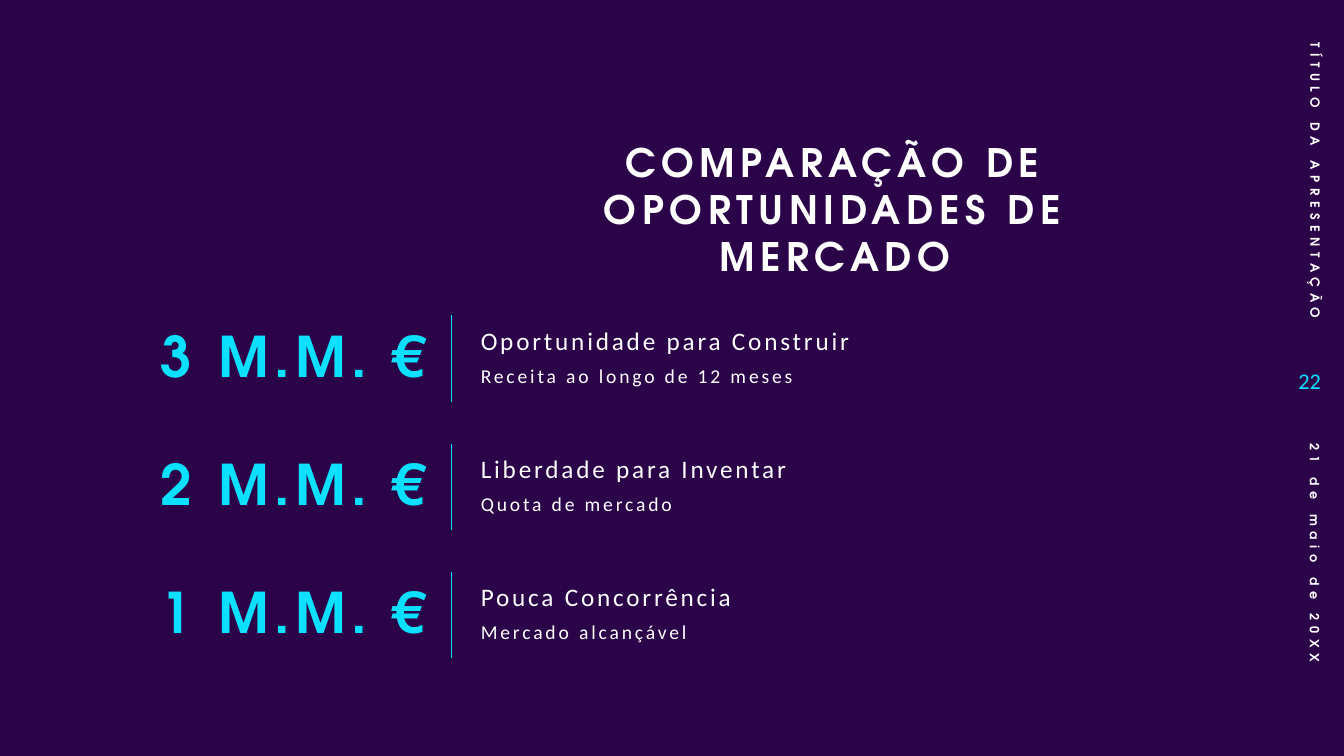
import pptx
import pptx.dml.color
import pptx.enum.shapes
import pptx.enum.text
import pptx.oxml
import pptx.util

Inches = pptx.util.Inches
Align = pptx.enum.text.PP_ALIGN
Anchor = pptx.enum.text.MSO_ANCHOR


def colour(value):
    return pptx.dml.color.RGBColor.from_string(value)


class MarketSlide:
    """Holds the style and the current slide, and adds each kind of element."""

    HEADING, BODY = "TeX Gyre Adventor", "Calibri"
    NIGHT, WHITE, CYAN = "2B0348", "FFFFFF", "0BE1FF"

    def __init__(self, deck):
        self.slide = deck.slides.add_slide(deck.slide_layouts[5])
        fill = self.slide.background.fill
        fill.solid()
        fill.fore_color.rgb = colour(self.NIGHT)

    def set_words(self, frame, words, size, font, ink, spacing=0, bold=False,
                  align=Align.LEFT, anchor=Anchor.TOP, leading=1.0):
        frame.word_wrap = True
        frame.auto_size = pptx.enum.text.MSO_AUTO_SIZE.NONE
        frame.vertical_anchor = anchor
        paragraph = frame.paragraphs[0]
        run = paragraph.add_run()
        run.text = words
        if spacing:
            run.font._element.set("spc", str(spacing * 100))
        paragraph.alignment = align
        paragraph.line_spacing = leading
        paragraph.font.size = pptx.util.Pt(size)
        paragraph.font.name = font
        paragraph.font.bold = bold
        paragraph.font.color.rgb = colour(ink)

    def title(self, place, words):
        heading = self.slide.shapes.title
        heading.left, heading.top, heading.width, heading.height = map(Inches, place)
        self.set_words(heading.text_frame, words, 28, self.HEADING, self.WHITE,
                       spacing=4, bold=True, align=Align.CENTER)

    def text(self, place, words, size, font, ink, rotation=0, **style):
        box = self.slide.shapes.add_textbox(*map(Inches, place))
        box.rotation = rotation
        self.set_words(box.text_frame, words, size, font, ink, **style)

    def divider(self, x, top, bottom):
        rule = self.slide.shapes.add_connector(
            pptx.enum.shapes.MSO_CONNECTOR.STRAIGHT,
            Inches(x), Inches(top), Inches(x), Inches(bottom))
        rule.line.color.rgb = colour(self.CYAN)
        rule.line.width = pptx.util.Pt(0.5)
        rule._element.spPr.append(pptx.oxml.parse_xml(
            '<a:effectLst xmlns:a="http://schemas.openxmlformats.org/drawingml/2006/main"/>'))

    def opportunity(self, top, amount, name, measure):
        self.text((1.49, top, 2.89, 1.17), amount, 40, self.HEADING, self.CYAN,
                  spacing=4, bold=True, anchor=Anchor.MIDDLE, leading=0.9)
        self.text((4.67, top + 0.23, 3.98, 0.42), name, 18, self.BODY, self.WHITE,
                  spacing=2, leading=0.9)
        self.text((4.67, top + 0.61, 3.98, 0.53), measure, 14, self.BODY, self.WHITE,
                  spacing=2, leading=0.9)
        self.divider(4.48, top + 0.15, top + 1.01)

    def side_label(self, place, words, align):
        self.text(place, words, 9, self.HEADING, self.WHITE, rotation=90,
                  spacing=4, bold=True, align=align, anchor=Anchor.MIDDLE)

    def page_number(self, place, number):
        self.text(place, number, 16, self.BODY, self.CYAN,
                  align=Align.RIGHT, anchor=Anchor.MIDDLE)


def main():
    deck = pptx.Presentation()
    deck.slide_width, deck.slide_height = Inches(13.33), Inches(7.5)
    market = MarketSlide(deck)
    market.title((5.5, 1.32, 5.57, 1.52), "COMPARAÇÃO DE OPORTUNIDADES DE MERCADO")
    opportunities = [
        ("3 M.M. €", "Oportunidade para Construir", "Receita ao longo de 12 meses"),
        ("2 M.M. €", "Liberdade para Inventar", "Quota de mercado"),
        ("1 M.M. €", "Pouca Concorrência", "Mercado alcançável"),
    ]
    for row, opportunity in enumerate(opportunities):
        market.opportunity(2.98 + 1.27 * row, *opportunity)
    market.side_label((11.53, 1.54, 3.03, 0.4), "TÍTULO DA APRESENTAÇÃO", Align.RIGHT)
    market.page_number((12.6, 3.46, 0.6, 0.63), "22")
    market.side_label((11.59, 5.55, 2.9, 0.4), "21 de maio de 20XX", Align.LEFT)
    deck.save("out.pptx")


if __name__ == "__main__":
    main()
